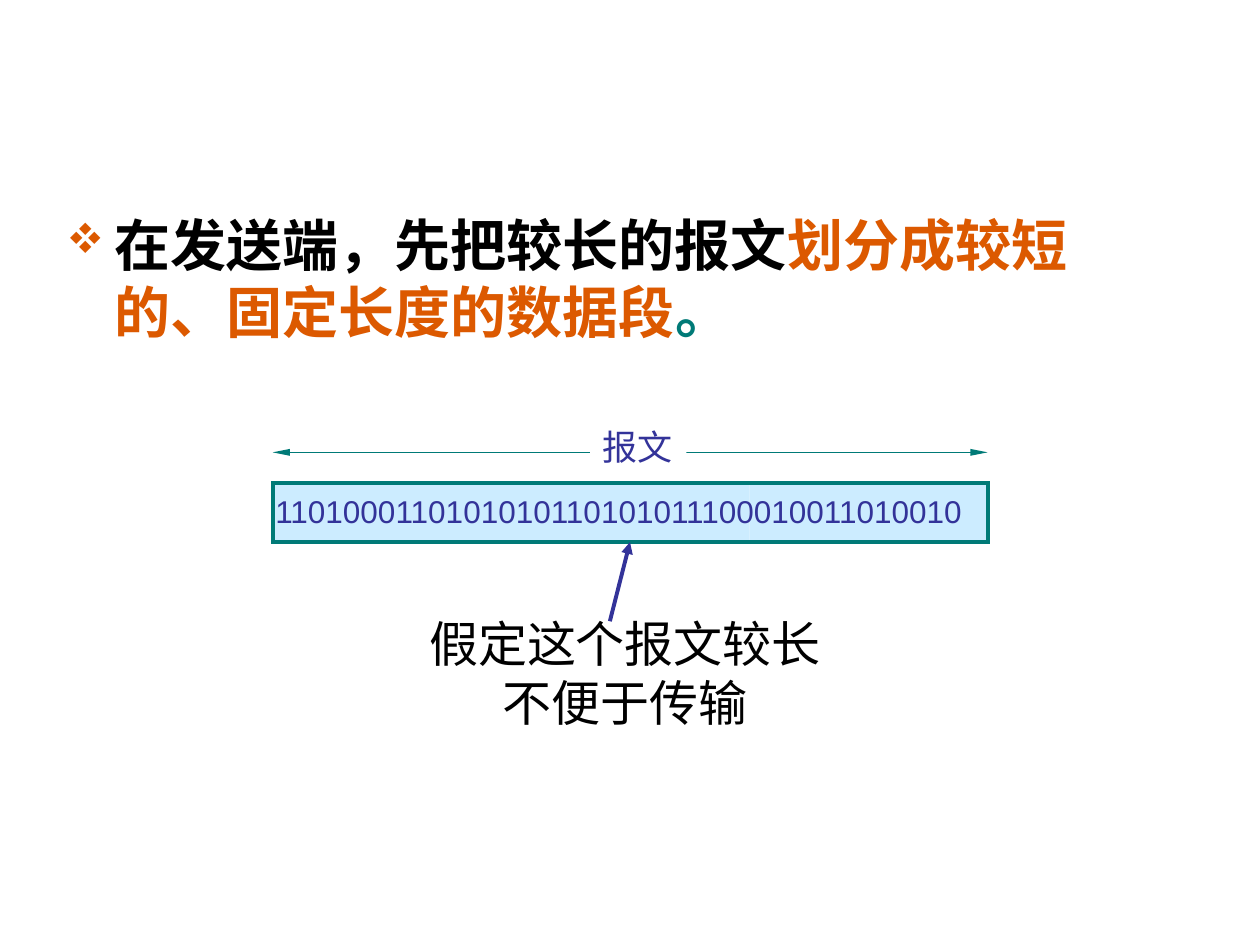
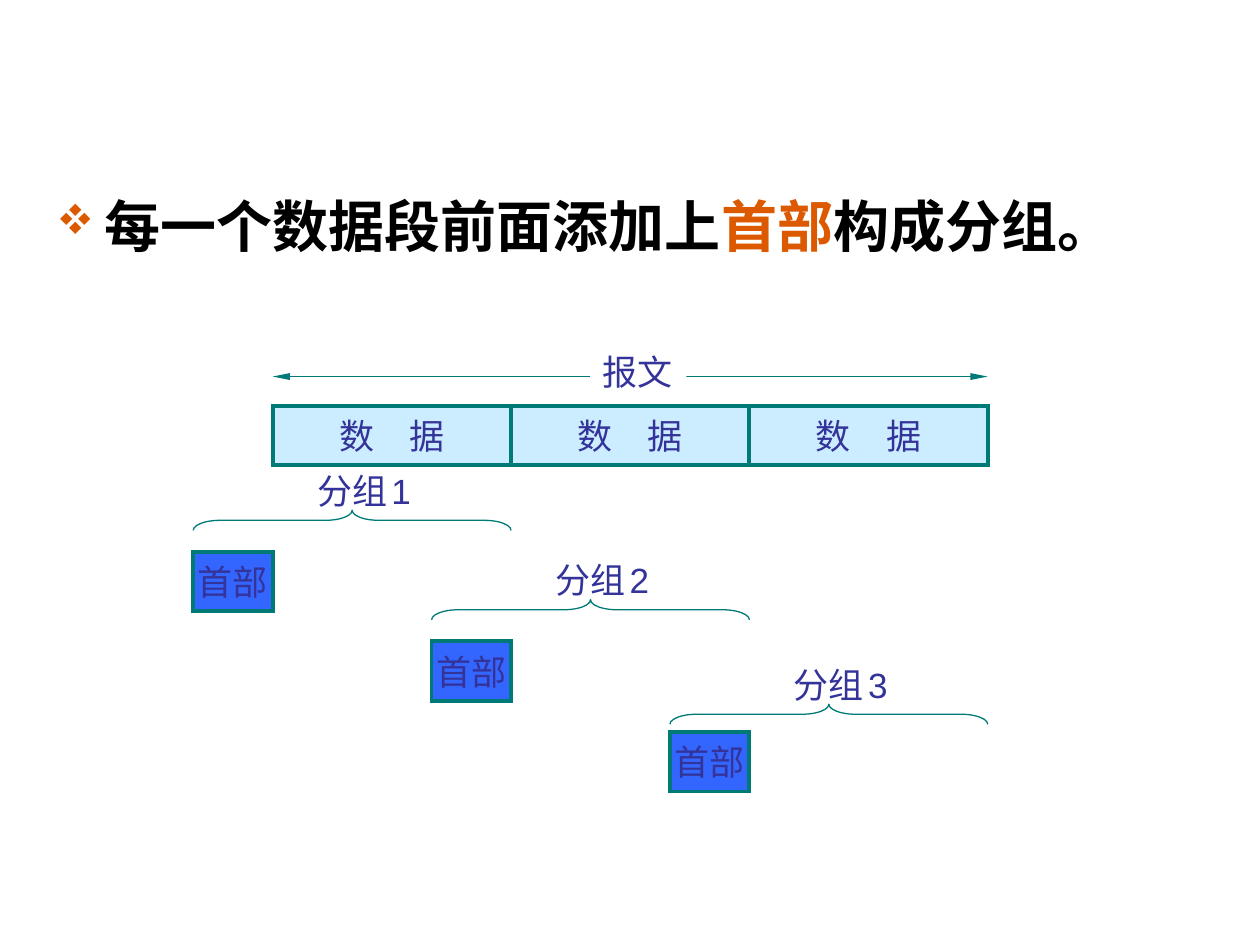
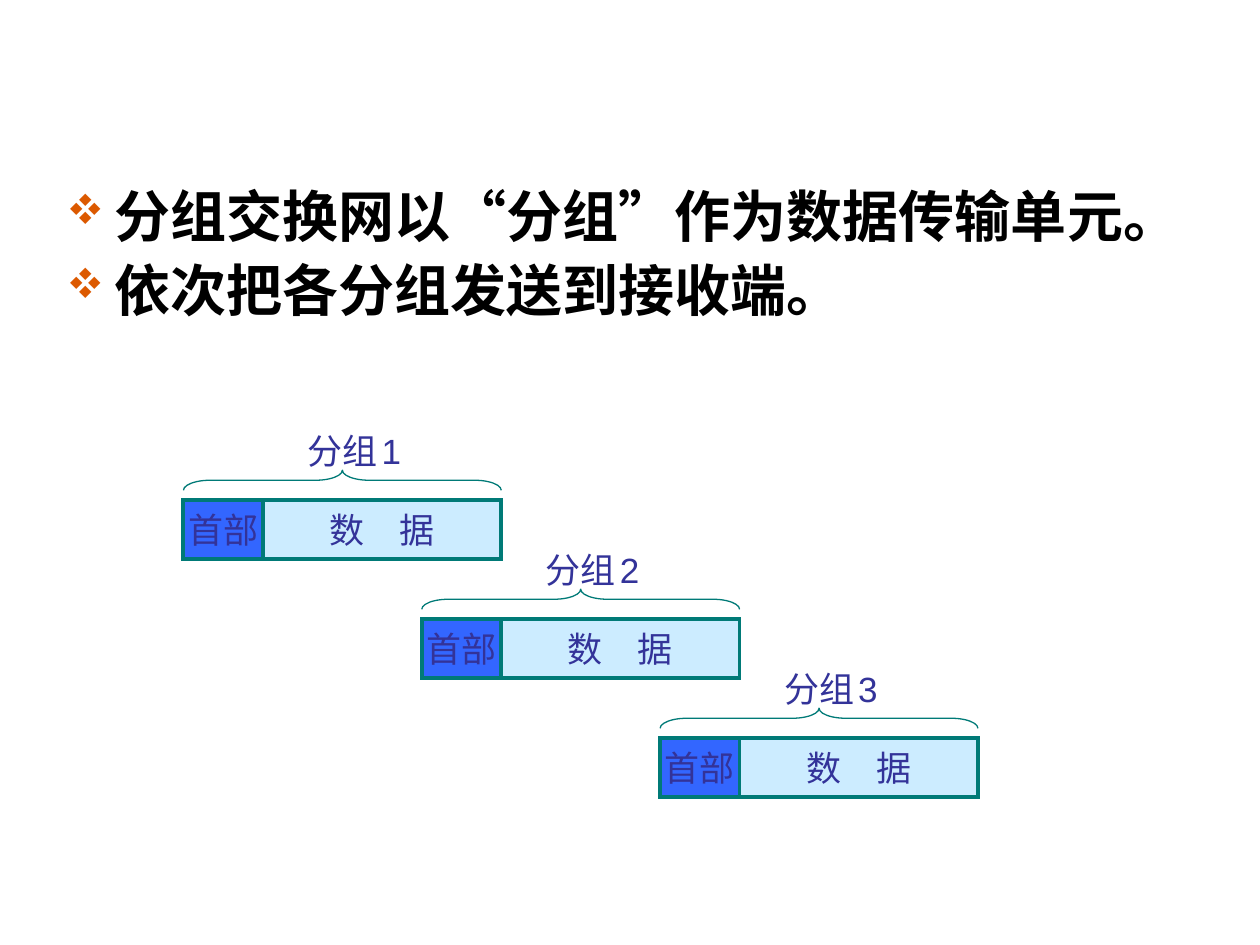
from lxml.etree import SubElement
from pptx import Presentation
from pptx.dml.color import RGBColor
from pptx.enum.lang import MSO_LANGUAGE_ID
from pptx.enum.shapes import MSO_CONNECTOR, MSO_SHAPE
from pptx.enum.text import MSO_ANCHOR, MSO_AUTO_SIZE, PP_ALIGN
from pptx.oxml.ns import qn
from pptx.util import Pt

BLACK = RGBColor(0x00, 0x00, 0x00)
WHITE = RGBColor(0xFF, 0xFF, 0xFF)
ORANGE = RGBColor(0xDC, 0x59, 0x00)
TEAL = RGBColor(0x00, 0x7A, 0x77)
INDIGO = RGBColor(0x33, 0x33, 0x99)
PALE = RGBColor(0xCC, 0xEC, 0xFF)
BLUE = RGBColor(0x33, 0x66, 0xFF)

DATA_W, HEAD_W, BAR_H = 136.2, 45.4, 34
PACKET_W = HEAD_W + DATA_W
MESSAGE_X, MESSAGE_W = 155.8, 3 * DATA_W
BRACE_H = 11.5
THIN, THICK = 0.74, 2.24


def add_run(p, text, size, color, font, bold=False):
    r = p.add_run()
    r.text = text
    r.font.size = Pt(size)
    r.font.color.rgb = color
    r.font.name = font
    r.font.bold = bold
    r.font.language_id = MSO_LANGUAGE_ID.SIMPLIFIED_CHINESE


def add_label(s, x, y, w, h):
    """Unwrapped text box; returns the box for its runs."""
    box = s.shapes.add_textbox(Pt(x), Pt(y), Pt(w), Pt(h))
    box.text_frame.word_wrap = False
    box.text_frame.auto_size = MSO_AUTO_SIZE.NONE
    return box


def add_box(s, x, y, w, fill=None, outlined=True):
    sp = s.shapes.add_shape(MSO_SHAPE.RECTANGLE, Pt(x), Pt(y), Pt(w), Pt(BAR_H))
    sp.shadow.inherit = False
    if fill is None:
        sp.fill.background()
    else:
        sp.fill.solid()
        sp.fill.fore_color.rgb = fill
    if outlined:
        sp.line.color.rgb = TEAL
        sp.line.width = Pt(THICK)
        SubElement(sp.line._get_or_add_ln(), qn("a:miter"), lim="800000")
    else:
        sp.line.fill.background()
    return sp


def add_bar(s, x, y, w, text, fill, size=20, font="Cabin"):
    """Outlined box with centred text."""
    sp = add_box(s, x, y, w, fill)
    tf = sp.text_frame
    tf.word_wrap = False
    tf.vertical_anchor = MSO_ANCHOR.MIDDLE
    p = tf.paragraphs[0]
    p.alignment = PP_ALIGN.CENTER
    add_run(p, text, size, INDIGO, font)
    return sp


def add_arrow(s, x1, y1, x2, y2, color, width, ends, w="med", length="med"):
    line = s.shapes.add_connector(MSO_CONNECTOR.STRAIGHT, Pt(x1), Pt(y1), Pt(x2), Pt(y2))
    line.line.color.rgb = color
    line.line.width = Pt(width)
    ln = line.line._get_or_add_ln()
    for end in ends:
        SubElement(ln, qn(f"a:{end}"), type="triangle", w=w, len=length)
    SubElement(line._element.spPr, qn("a:effectLst"))


def add_bullets(s, x, y, w, h, paragraphs, space_before):
    """Each paragraph is a list of (text, colour) parts."""
    tf = s.shapes.add_textbox(Pt(x), Pt(y), Pt(w), Pt(h)).text_frame
    tf.word_wrap = True
    for i, parts in enumerate(paragraphs):
        p = tf.add_paragraph() if i else tf.paragraphs[0]
        p.space_before = Pt(space_before)
        pPr = p._p.get_or_add_pPr()
        pPr.set("marL", str(Pt(27.4)))
        pPr.set("indent", str(-Pt(27.4)))
        pPr.set("hangingPunct", "0")
        SubElement(SubElement(pPr, qn("a:buClr")), qn("a:srgbClr"), val=str(ORANGE))
        SubElement(pPr, qn("a:buSzPct"), val="75000")
        SubElement(pPr, qn("a:buFont"), typeface="Wingdings", charset="2")
        SubElement(pPr, qn("a:buChar"), char="v")  # four-diamond sign
        for text, color in parts:
            add_run(p, text, 32, color, "Arial", bold=True)


def add_message_span(s, y):
    """Double arrow at y with its label in the middle."""
    add_arrow(s, MESSAGE_X, y, MESSAGE_X + MESSAGE_W, y, TEAL, THIN,
              ("headEnd", "tailEnd"), "sm", "lg")
    label = add_label(s, 337.3, y - 18.7, 55, 31.7)
    label.fill.solid()
    label.fill.fore_color.rgb = WHITE
    add_run(label.text_frame.paragraphs[0], "报文", 20, INDIGO, "Times New Roman")


def add_packet(s, x, y, number, gap, with_data):
    """Label, brace from y, and the header (and data) bar below it."""
    if with_data:
        add_bar(s, x + HEAD_W, y + gap, DATA_W, "数\u3000据", PALE)
    add_bar(s, x, y + gap, HEAD_W, "首部", BLUE)

    # A left brace turned a quarter points upwards
    brace = s.shapes.add_shape(
        MSO_SHAPE.LEFT_BRACE, Pt(x + (PACKET_W - BRACE_H) / 2),
        Pt(y + (BRACE_H - PACKET_W) / 2), Pt(BRACE_H), Pt(PACKET_W))
    brace.rotation = 90
    brace.adjustments[0] = 1.33
    brace.shadow.inherit = False
    brace.fill.background()
    brace.line.color.rgb = TEAL
    brace.line.width = Pt(THIN)

    p = add_label(s, x + 63.8, y - 27, 70, 31.7).text_frame.paragraphs[0]
    add_run(p, "分组", 20, INDIGO, "Cabin")
    add_run(p, " ", 10, INDIGO, "Arial")
    add_run(p, str(number), 20, INDIGO, "Arial")


def build_message_slide(s):
    add_bullets(s, 31, 116.6, 646.6, 324, [[
        ("在发送端，先把较长的报文", BLACK),
        ("划分成较短的、固定长度的数据段", ORANGE),
        ("。", TEAL)]], 8)
    add_message_span(s, 258.5)

    # Three segments under one outline that holds the bits
    bar_y = 275.8
    for i in range(3):
        add_box(s, MESSAGE_X + i * DATA_W, bar_y, DATA_W, PALE, outlined=False)
    bar = add_bar(s, MESSAGE_X, bar_y, MESSAGE_W,
                  "1101000110101010110101011100010011010010", None, 18, "Arial")
    bar.text_frame.margin_left = Pt(1.5)
    bar.text_frame.margin_bottom = Pt(5.8)
    bar.text_frame.paragraphs[0].alignment = PP_ALIGN.LEFT

    # Remark pointing at the bar
    tf = add_label(s, 236.1, 347, 242, 74.9).text_frame
    for p, text in zip((tf.paragraphs[0], tf.add_paragraph()),
                       ("假定这个报文较长", "不便于传输")):
        p.alignment = PP_ALIGN.CENTER
        add_run(p, text, 28, BLACK, "Cabin")
    add_arrow(s, 348.5, 355, 360, bar_y + BAR_H, INDIGO, THICK, ("tailEnd",))


def build_header_slide(s):
    for i in range(3):
        add_bar(s, MESSAGE_X + i * DATA_W, 232, DATA_W, "数\u3000据", PALE)
    add_message_span(s, 215.2)
    add_bullets(s, 25.2, 105.8, 663, 357, [[
        ("每一个数据段前面添加上", BLACK),
        ("首部", ORANGE),
        ("构成分组。", BLACK)]], 8)
    for i, (y, gap) in enumerate(((291.6, 23.8), (342.7, 23.8), (402.4, 15.9))):
        add_packet(s, MESSAGE_X - HEAD_W + i * DATA_W, y, i + 1, gap, False)


def build_packet_slide(s):
    add_bullets(s, 31, 100, 658, 340.6, [
        [("分组交换网以“分组”作为数据传输单元。", BLACK)],
        [("依次把各分组发送到接收端。", BLACK)]], 4)
    for i in range(3):
        add_packet(s, 104.8 + i * DATA_W, 268.7 + i * 68, i + 1, 17, True)


prs = Presentation()
prs.slide_width, prs.slide_height = Pt(720), Pt(540)
blank = prs.slide_layouts[6]
for build in (build_message_slide, build_header_slide, build_packet_slide):
    build(prs.slides.add_slide(blank))
prs.save("out.pptx")
